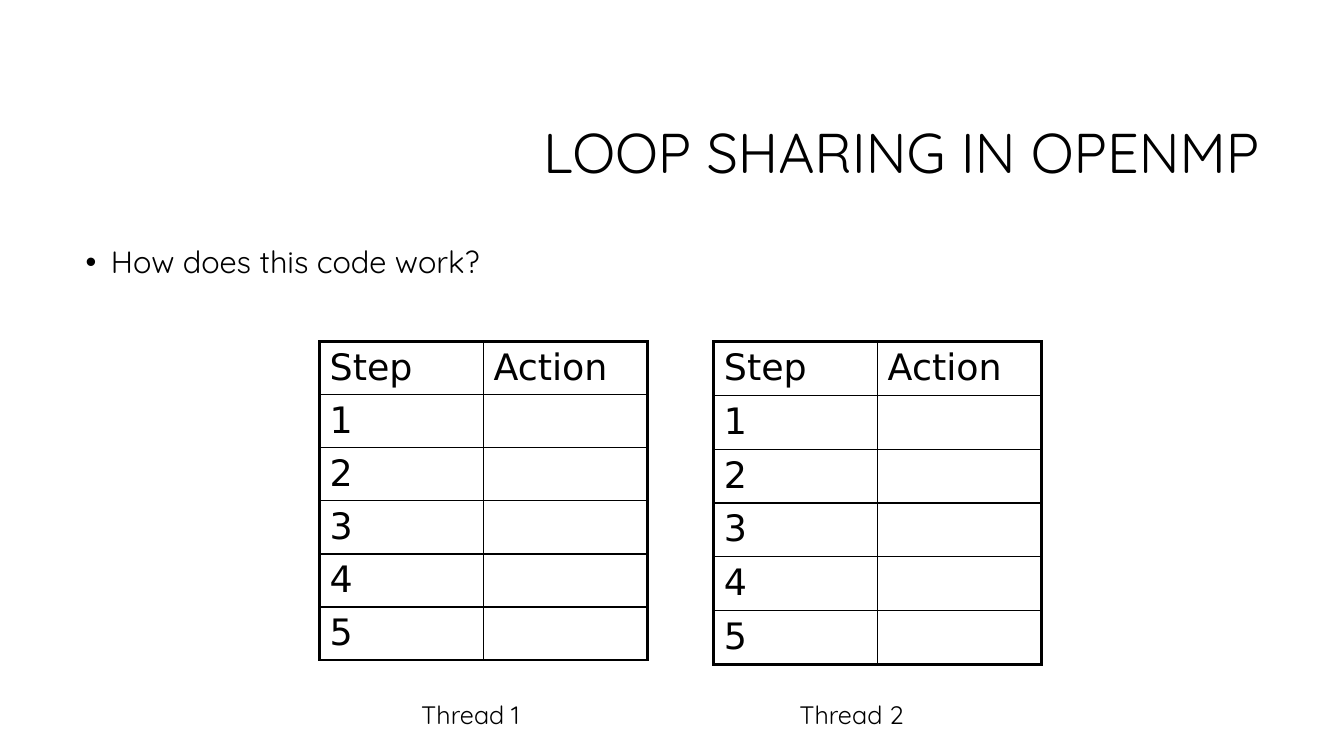
from dataclasses import dataclass

from lxml.etree import SubElement
from pptx import Presentation
from pptx.dml.color import RGBColor
from pptx.enum.text import MSO_ANCHOR, MSO_AUTO_SIZE, PP_ALIGN
from pptx.oxml.ns import qn
from pptx.util import Pt

PX = 9144  # EMU; 100 px to the inch


@dataclass(frozen=True)
class Theme:
    ink: str = "000000"
    text_font: str = "Quicksand"
    table_font: str = "DejaVu Sans"
    title_size: int = 40
    body_size: int = 22
    cell_size: int = 26
    caption_size: int = 18
    outer_line: float = 2.25
    inner_line: float = 1


THEME = Theme()
HEADINGS = ("Step", "Action")
STEPS = 5


def set_all(target, values):
    for name, value in values.items():
        setattr(target, name, value)


def place(shape, box):
    names = ("left", "top", "width", "height")
    set_all(shape, {name: length * PX for name, length in zip(names, box)})


def write(para, text, size, font=THEME.text_font, **layout):
    set_all(para, layout)
    span = para.add_run()
    span.text = text
    set_all(span.font, {"name": font, "size": Pt(size)})
    span.font.color.rgb = RGBColor.from_string(THEME.ink)


def add_title(page, box, text):
    title = page.shapes.title
    place(title, box)
    frame = title.text_frame
    set_all(frame, {"vertical_anchor": MSO_ANCHOR.MIDDLE, "word_wrap": True,
                    "auto_size": MSO_AUTO_SIZE.NONE})
    write(frame.paragraphs[0], text, THEME.title_size,
          alignment=PP_ALIGN.RIGHT, line_spacing=0.9)


def add_body(page, box, text):
    body = page.placeholders[1]
    place(body, box)
    set_all(body.text_frame, {"word_wrap": True, "auto_size": MSO_AUTO_SIZE.NONE})
    para = body.text_frame.paragraphs[0]
    write(para, text, THEME.body_size, line_spacing=0.9, space_before=Pt(10))
    properties = para._p.get_or_add_pPr()
    properties.set("marL", str(25 * PX))
    properties.set("indent", str(-25 * PX))
    SubElement(properties, qn("a:buFont"), typeface="Arial")
    SubElement(properties, qn("a:buChar"), char="•")


def draw_borders(cell, outer_sides):
    """Draw the four cell borders, heavier where outer_sides holds True."""
    properties = cell._tc.get_or_add_tcPr()
    for side, is_outer in outer_sides.items():
        width = THEME.outer_line if is_outer else THEME.inner_line
        line = SubElement(properties, qn(f"a:ln{side}"), w=str(Pt(width)))
        fill = SubElement(line, qn("a:solidFill"))
        SubElement(fill, qn("a:srgbClr"), val=THEME.ink)


def add_step_table(page, box):
    rows, columns = STEPS + 1, len(HEADINGS)
    left, top, width, height = (length * PX for length in box)
    table = page.shapes.add_table(rows, columns, left, top, width, height).table
    set_all(table, {"first_row": False, "horz_banding": False})
    for row in range(rows):
        for column in range(columns):
            cell = table.cell(row, column)
            draw_borders(cell, {"L": column == 0, "R": column == columns - 1,
                                "T": row == 0, "B": row == rows - 1})
            cell.fill.background()
            if row == 0:
                text = HEADINGS[column]
            else:
                text = str(row) if column == 0 else ""
            if text:
                write(cell.text_frame.paragraphs[0], text,
                      THEME.cell_size, THEME.table_font)


def add_caption(page, box, text):
    caption = page.shapes.add_textbox(*(length * PX for length in box))
    caption.text_frame.word_wrap = True
    write(caption.text_frame.paragraphs[0], text, THEME.caption_size)


def add_loop_sharing_slide(deck):
    page = deck.slides.add_slide(deck.slide_layouts[1])
    add_title(page, (317, 84, 942, 141), "LOOP SHARING IN OPENMP")
    add_body(page, (75, 240, 1183, 440), "How does this code work?")
    columns = ((317, 408), (708, 783))
    for thread, (table_left, caption_left) in enumerate(columns, start=1):
        add_step_table(page, (table_left, 339, 325, 316))
        add_caption(page, (caption_left, 689, 200, 40), f"Thread {thread}")


def main():
    deck = Presentation()
    set_all(deck, {"slide_width": 1333 * PX, "slide_height": 750 * PX})
    add_loop_sharing_slide(deck)
    deck.save("out.pptx")


if __name__ == "__main__":
    main()
